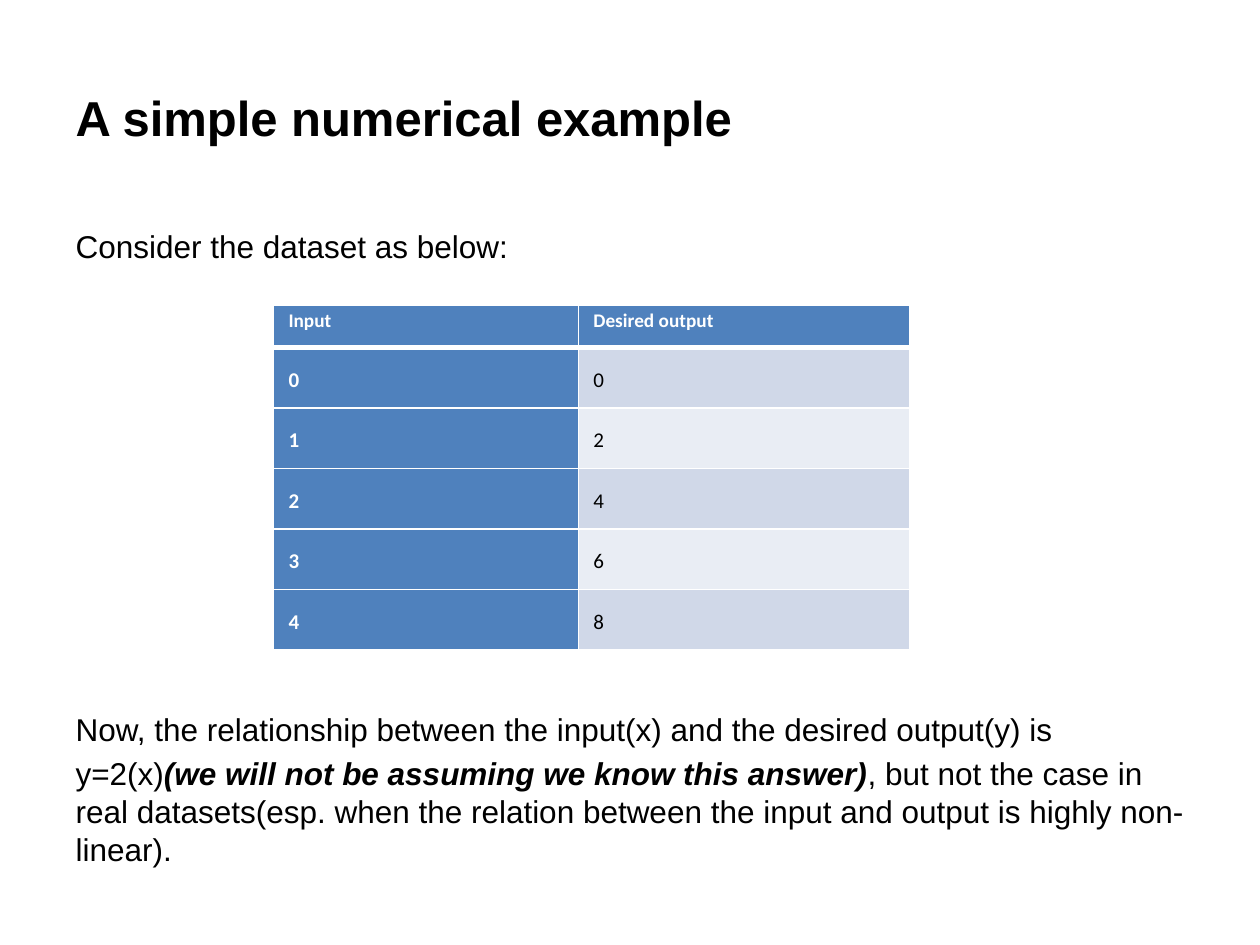
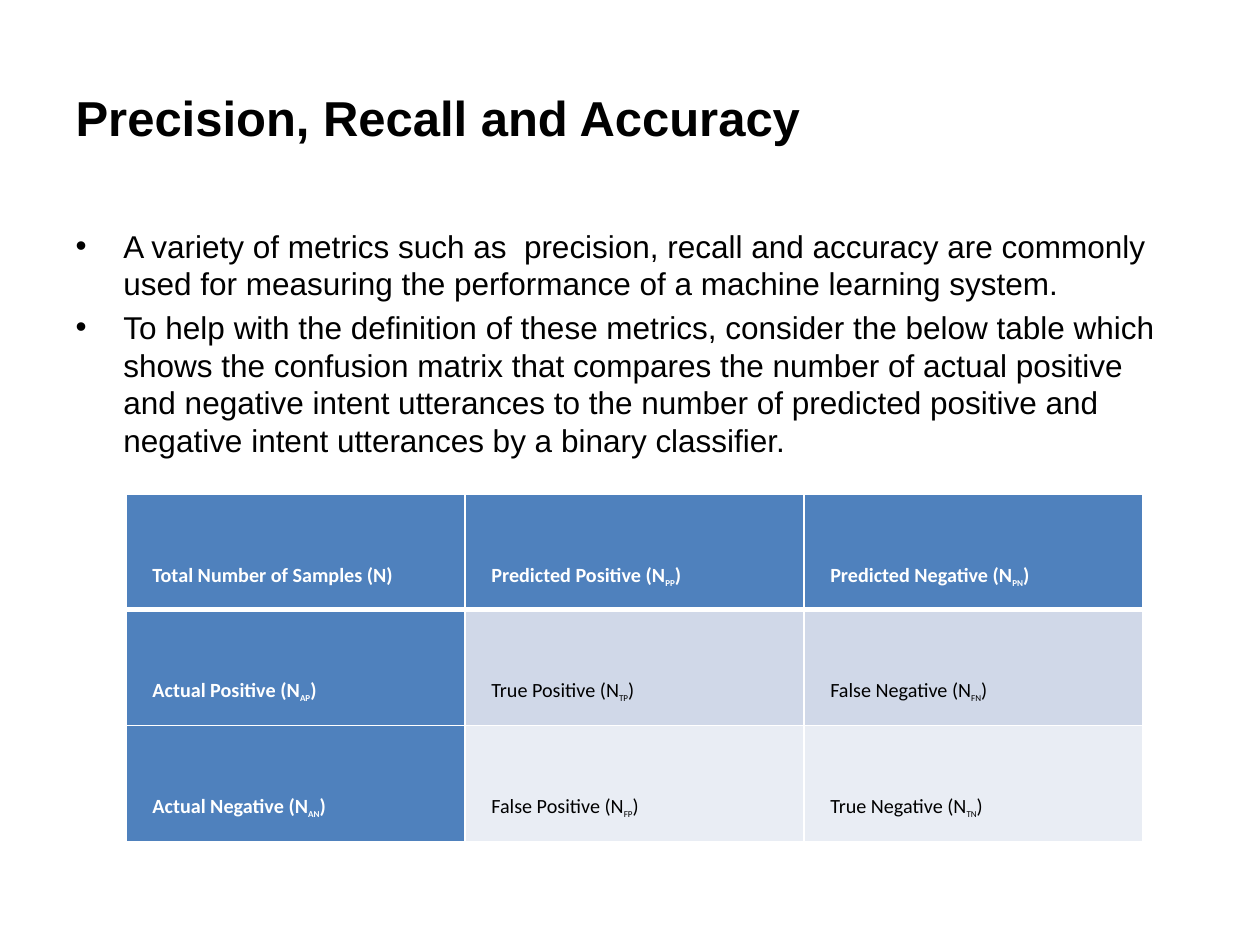
import pptx
import pptx.dml.color
import pptx.enum.text
import pptx.oxml
import pptx.oxml.ns
import pptx.util

Inches = pptx.util.Inches
Pt = pptx.util.Pt
RGBColor = pptx.dml.color.RGBColor

COLORS = {
    "text": "000000",
    "header": "4F81BD",
    "header_text": "FFFFFF",
    "odd_row": "D0D8E8",
    "even_row": "E9EDF4",
    "border": "FFFFFF",
}
BODY_LINE = Pt(21.5)
BODY_GAP = Pt(3.6)
TABLE_GAP = Pt(255)


def style_font(font, name, size, color, bold=False):
    """Set the face, size, colour and weight of a font."""
    font.name = name
    font.size = Pt(size)
    font.bold = bold
    font.color.rgb = RGBColor.from_string(COLORS[color])


def add_data_table(slide, rows, left, top, widths, heights, margins, sizes):
    """Add a table with a coloured header row and first column.

    A cell is a tuple of texts; its second text is a subscript.
    Margins are (side, header top, body top, bottom); sizes are (header, body).
    """
    side, header_top, body_top, bottom = margins
    table = slide.shapes.add_table(
        len(rows), len(widths), Inches(left), Inches(top),
        Inches(sum(widths)), Inches(sum(heights))).table
    table.first_col = True
    for column, width in zip(table.columns, widths):
        column.width = Inches(width)
    for row_index, (row, height) in enumerate(zip(rows, heights)):
        table.rows[row_index].height = Inches(height)
        is_header = row_index == 0
        for column_index, parts in enumerate(row):
            cell = table.cell(row_index, column_index)
            is_label = is_header or column_index == 0
            cell.margin_left = cell.margin_right = Inches(side)
            cell.margin_top = Inches(header_top if is_header else body_top)
            cell.margin_bottom = Inches(bottom)
            cell.vertical_anchor = pptx.enum.text.MSO_ANCHOR.BOTTOM

            border_widths = {"L": 1, "R": 1,
                             "T": 3 if row_index == 1 else 1,
                             "B": 3 if is_header else 1}
            properties = cell._tc.get_or_add_tcPr()
            for edge, width in border_widths.items():
                properties.append(pptx.oxml.parse_xml(
                    f'<a:ln{edge} {pptx.oxml.ns.nsdecls("a")} w="{Pt(width)}">'
                    f'<a:solidFill><a:srgbClr val="{COLORS["border"]}"/>'
                    f'</a:solidFill></a:ln{edge}>'))
            band = "odd_row" if row_index % 2 else "even_row"
            cell.fill.solid()
            cell.fill.fore_color.rgb = RGBColor.from_string(
                COLORS["header" if is_label else band])

            paragraph = cell.text_frame.paragraphs[0]
            paragraph.line_spacing = 1.15
            style_font(paragraph.font, "Calibri", sizes[0 if is_header else 1],
                       "header_text" if is_label else "text", is_label)
            for part_index, text in enumerate(parts):
                run = paragraph.add_run()
                run.text = text
                style_font(run.font, "Calibri", sizes[0 if is_header else 1],
                           "header_text" if is_label else "text", is_label)
                if part_index == 1:
                    run.font.size = Pt(9)
                    run._r.get_or_add_rPr().set("baseline", "-25000")


presentation = pptx.Presentation()
presentation.slide_width = Inches(10)
presentation.slide_height = Inches(7.5)

# Each paragraph is a list of (text, is emphasised) and the space before it.
contents = [
    ("A simple numerical example", False, [
        ([("Consider the dataset as below:", False)], BODY_GAP),
        ([("Now, the relationship between the input(x) and the desired "
           "output(y) is", False)], TABLE_GAP),
        ([("y=2(x)", False),
          ("(we will not be assuming we know this answer)", True),
          (", but not the case in real datasets(esp. when the relation between "
           "the input and output is highly non-linear).", False)], BODY_GAP),
    ]),
    ("Precision, Recall and Accuracy", True, [
        ([("A variety of metrics such as \u00a0precision, recall\u00a0and "
           "accuracy are commonly used for measuring the performance of a "
           "machine learning system.", False)], BODY_GAP),
        ([("To help with the definition of these metrics, consider the below "
           "table which shows the confusion matrix that compares the number of "
           "actual positive and negative intent utterances to the number of "
           "predicted positive and negative intent utterances by a binary "
           "classifier.", False)], BODY_GAP),
    ]),
]

slides = []
for title_text, has_bullets, paragraphs in contents:
    slide = presentation.slides.add_slide(presentation.slide_layouts[1])
    slides.append(slide)

    title = slide.shapes.title
    title.left, title.top = Inches(0.5), Inches(0.3)
    title.width, title.height = Inches(9), Inches(1.25)
    title.text_frame.text = title_text
    title.text_frame.auto_size = pptx.enum.text.MSO_AUTO_SIZE.NONE
    title.text_frame.vertical_anchor = pptx.enum.text.MSO_ANCHOR.MIDDLE
    title_paragraph = title.text_frame.paragraphs[0]
    title_paragraph.alignment = pptx.enum.text.PP_ALIGN.LEFT
    style_font(title_paragraph.font, "Arial", 28, "text", True)

    body = slide.placeholders[1]
    body.left, body.top = Inches(0.5), Inches(1.75)
    body.width, body.height = Inches(9), Inches(4.95)
    frame = body.text_frame
    frame.auto_size = pptx.enum.text.MSO_AUTO_SIZE.NONE
    for index, (runs, gap) in enumerate(paragraphs):
        paragraph = frame.add_paragraph() if index else frame.paragraphs[0]
        paragraph.line_spacing = BODY_LINE
        paragraph.space_before = gap
        style_font(paragraph.font, "Arial", 18, "text")
        properties = paragraph._p.get_or_add_pPr()
        indent = Inches(0.38) if has_bullets else 0
        properties.set("marL", str(indent))
        properties.set("indent", str(-indent))
        bullet = 'buChar char="\u2022"' if has_bullets else "buNone"
        properties.insert_element_before(
            pptx.oxml.parse_xml(f'<a:{bullet} {pptx.oxml.ns.nsdecls("a")}/>'),
            "a:tabLst", "a:defRPr", "a:extLst")
        for text, is_emphasised in runs:
            run = paragraph.add_run()
            run.text = text
            style_font(run.font, "Arial", 18, "text", is_emphasised)
            run.font.italic = is_emphasised

dataset_rows = [[("Input",), ("Desired output",)]]
dataset_rows += [[(str(x),), (str(2 * x),)] for x in range(5)]
add_data_table(slides[0], dataset_rows, 2.17, 2.42, [2.42, 2.63],
               [0.34] + [0.48] * 5, (0.12, 0, 0.12, 0.12), (11, 12))

confusion_rows = [
    [("Total Number of Samples (N)",),
     ("Predicted Positive (N", "PP", ")"),
     ("Predicted Negative (N", "PN", ")")],
    [("Actual Positive (N", "AP", ")"),
     ("True Positive (N", "TP", ")"),
     ("False Negative (N", "FN", ")")],
    [("Actual Negative (N", "AN", ")"),
     ("False Positive (N", "FP", ")"),
     ("True Negative (N", "TN", ")")],
]
add_data_table(slides[1], confusion_rows, 1, 3.92, [2.69] * 3,
               [0.92] * 3, (0.21, 0.17, 0.17, 0.17), (11.5, 11.5))

presentation.save("out.pptx")
